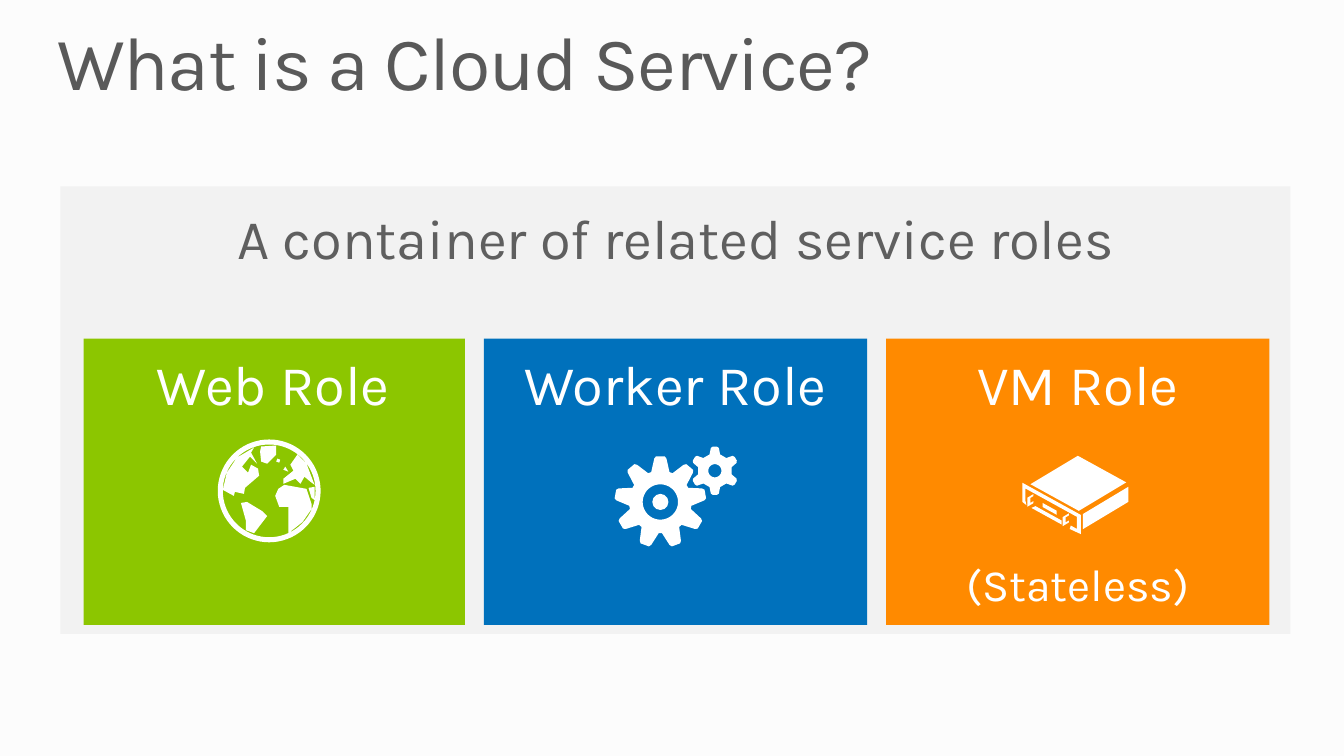
from math import cos, radians, sin

from pptx import Presentation
from pptx.dml.color import RGBColor
from pptx.enum.shapes import MSO_SHAPE
from pptx.enum.text import PP_ALIGN
from pptx.util import Inches, Pt

WHITE = "FFFFFF"
FONT = "Karla"

# Icons are measured in hundredths of an inch from their top left corner
LANDS = {
    "North America": [(36, 8), (33, 13), (39, 24), (32, 17), (24, 27), (30, 33), (33, 25), (40, 29),
                      (41, 36), (27, 48), (26, 54), (17, 52), (16, 56), (5, 50), (9, 33), (19, 18)],
    "Greenland": [(43, 7), (58, 6), (58, 15), (49, 24), (43, 22), (42, 12)],
    "South America": [(23, 63), (29, 62), (44, 71), (49, 76), (36, 93), (28, 90), (28, 81)],
    "Iceland": [(58, 22), (61, 23), (62, 20), (59, 19)],
    "Britain": [(67, 27), (70, 32), (65, 30)],
    "Europe": [(79, 15), (72, 25), (75, 31), (65, 39), (65, 44), (77, 39), (82, 44), (86, 37),
               (92, 42), (96, 45), (88, 24)],
    "Africa": [(57, 56), (60, 49), (66, 45), (88, 49), (93, 64), (93, 69), (84, 82), (70, 93),
               (70, 67), (61, 67)],
    "Arabia": [(90, 48), (96, 47), (96, 60), (93, 58)],
}


def rgb(color):
    return RGBColor.from_string(color)


def paint(sp, color):
    sp.shadow.inherit = False
    sp.fill.solid()
    sp.fill.fore_color.rgb = rgb(color)
    sp.line.fill.background()


def add_block(shapes, kind, x, y, w, h, color):
    sp = shapes.add_shape(kind, Inches(x), Inches(y), Inches(w), Inches(h))
    paint(sp, color)


def add_text(s, x, y, w, h, text, size, color, align=PP_ALIGN.CENTER, line=0.9, spacing=None):
    tf = s.shapes.add_textbox(Inches(x), Inches(y), Inches(w), Inches(h)).text_frame
    tf.word_wrap = True
    for side in ("left", "top", "right", "bottom"):
        setattr(tf, f"margin_{side}", 0)
    p = tf.paragraphs[0]
    p.alignment, p.line_spacing = align, line
    r = p.add_run()
    r.text = text
    for name, value in {"name": FONT, "size": Pt(size)}.items():
        setattr(r.font, name, value)
    r.font.color.rgb = rgb(color)
    if spacing is not None:
        r.font._element.set("spc", str(spacing))


def add_outline(shapes, x, y, contours, color=WHITE):
    """Draw closed contours as one shape, so that inner ones become holes."""
    placed = [[(Inches(x + px / 100), Inches(y + py / 100)) for px, py in c] for c in contours]
    builder = shapes.build_freeform(*placed[0][0], scale=1.0)
    for i, points in enumerate(placed):
        if i:
            builder.move_to(*points[0])
        builder.add_line_segments(points[1:], close=True)
    paint(builder.convert_to_shape(), color)


def polar(cx, cy, radius, degrees):
    """Point at an angle measured clockwise from the top."""
    return cx + radius * sin(radians(degrees)), cy - radius * cos(radians(degrees))


def circle(cx, cy, radius):
    return [polar(cx, cy, radius, a) for a in range(0, 360, 5)]


def add_globe(s, x, y):
    """A rim, the sea as its hole, and the lands inside the hole."""
    rim, sea = (circle(51, 51, radius) for radius in (51, 46))
    add_outline(s.shapes, x, y, [rim, sea, *LANDS.values()])


def gear(cx, cy, teeth, profile, hole):
    """Toothed rim and round hole; profile lists (radius, half angle) from root to tip."""
    tooth = [(r, -a) for r, a in profile] + [(r, a) for r, a in reversed(profile)]
    rim = [polar(cx, cy, r, a + 360 / teeth * i) for i in range(teeth) for r, a in tooth]
    return [rim, circle(cx, cy, hole)]


def add_gears(s, x, y):
    shapes = s.shapes.add_group_shape().shapes
    big = gear(45, 55, 9, [(31, 17), (43.5, 8), (45.5, 5.5)], 17.5)
    small = gear(99, 24, 6, [(17, 18), (23, 10), (24, 5)], 6.5)
    add_outline(shapes, x, y, big)
    add_block(shapes, MSO_SHAPE.OVAL, x + 0.37, y + 0.47, 0.16, 0.16, WHITE)
    add_outline(shapes, x, y, small)


def project(along, depth, down):
    """Oblique view of a point: along the front, back in depth, and down."""
    return along + depth, 27 + 0.55 * along - 0.6 * depth + down


def rectangle(a0, b0, a1, b1):
    return [(a0, b0), (a1, b0), (a1, b1), (a0, b1)]


def add_server(s, x, y):
    def on_front(points):
        return [project(a, 0, z) for a, z in points]

    def on_side(along, points):
        return [project(along, d, z) for d, z in points]

    lid = [project(a, d, -3) for a, d in rectangle(8, 0, 56, 47)]
    side = on_side(60, rectangle(0, -2, 45, 13))
    frame = on_front([(0, 0), (58, 0), (58, 19), (47, 20), (48, 16), (54, 16), (54, 4),
                      (3, 4), (3, 16), (4, 20), (0, 19)])
    bottom_bar = on_front([(13, 16), (39, 16), (39, 20), (9, 20)])
    slot = on_front(rectangle(20, 9, 34, 13))
    bracket = [(0, 12), (6, 12), (6, 14), (3, 14), (3, 19), (6, 19), (6, 21), (0, 21)]
    handles = [on_side(along, bracket) for along in (5, 40)]
    add_outline(s.shapes, x, y, [lid, side, frame, bottom_bar, slot, *handles])


def add_role(s, x, y, w, h, role):
    inset = role.get("inset", 0)
    add_block(s.shapes, MSO_SHAPE.RECTANGLE, x + inset, y, w - inset, h, role["color"])
    add_text(s, x, y + 0.18, w, 0.61, role["name"], 40, WHITE)
    dx, dy = role["offset"]
    role["icon"](s, x + dx, y + dy)
    if "note" in role:
        add_text(s, x, y + 2.22, w, 0.48, role["note"], 32, WHITE)


def add_container(s, x, y, w, h):
    roles = [
        {"name": "Web Role", "color": "8CC600", "icon": add_globe, "offset": (1.35, 1), "inset": 0.02},
        {"name": "Worker Role", "color": "0071BC", "icon": add_gears, "offset": (1.3, 1.07)},
        {"name": "VM Role", "color": "FF8A00", "icon": add_server, "offset": (1.35, 1.16),
         "note": "(Stateless)"},
    ]
    add_block(s.shapes, MSO_SHAPE.RECTANGLE, x, y, w, h, "F2F2F2")
    add_text(s, x, y + 0.17, w, 0.67, "A container of related service roles", 40, "5F5F5F", line=1.0)
    for i, role in enumerate(roles):
        add_role(s, x + 0.21 + 3.99 * i, y + 1.51, 3.8, 2.84, role)


def main():
    prs = Presentation()
    prs.slide_width, prs.slide_height = Inches(13.33), Inches(7.5)
    s = prs.slides.add_slide(prs.slide_layouts[6])
    s.background.fill.solid()
    s.background.fill.fore_color.rgb = rgb("FCFCFC")
    add_text(s, 0.57, 0.25, 12.19, 0.82, "What is a Cloud Service?", 54, "595959",
             align=PP_ALIGN.LEFT, spacing=-100)
    add_container(s, 0.6, 1.85, 12.2, 4.44)
    prs.save("out.pptx")


if __name__ == "__main__":
    main()
